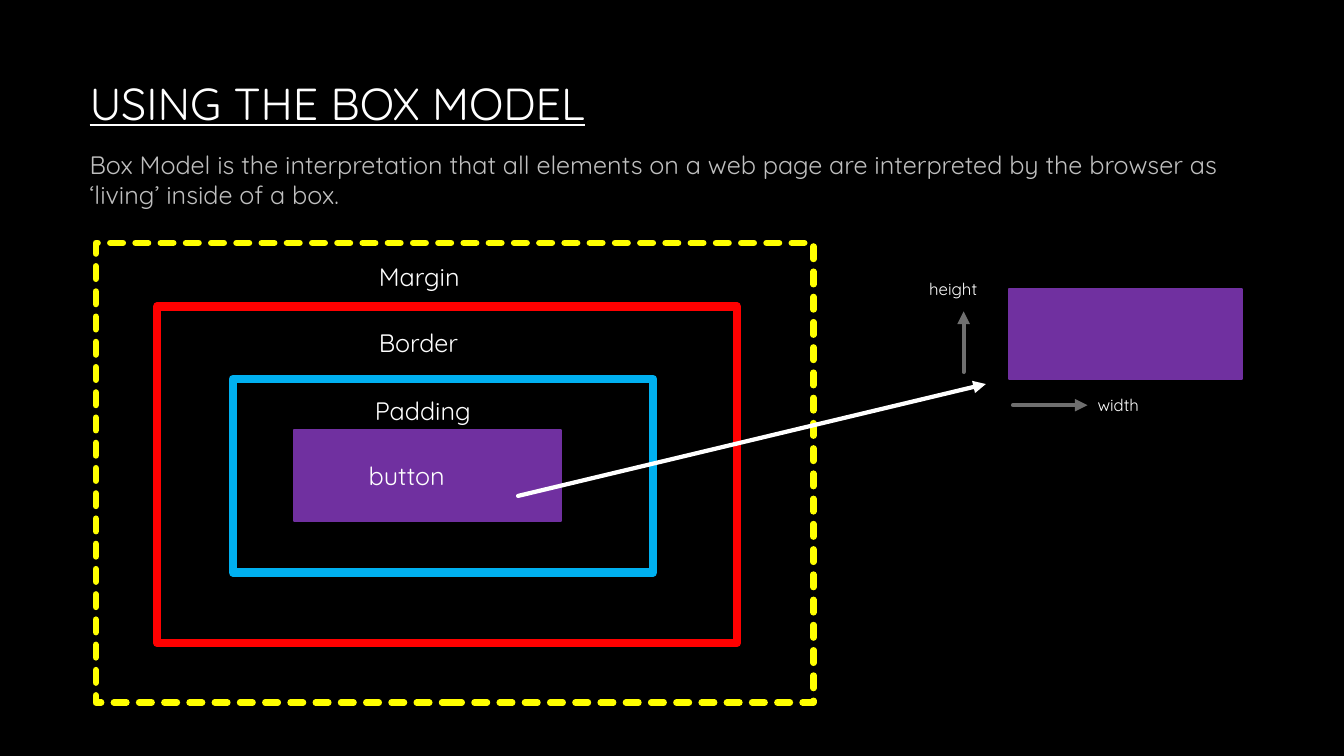
"""Build a slide that explains the box model with nested frames and arrows."""
from dataclasses import dataclass

import pptx
import pptx.dml.color
import pptx.enum.dml
import pptx.enum.shapes
import pptx.enum.text
import pptx.oxml
import pptx.oxml.ns
import pptx.util

CELL = pptx.util.Inches(1 / 12)
COLUMNS, ROWS = 160, 90
NAMESPACE = pptx.oxml.ns.nsdecls("a")


@dataclass(frozen=True)
class Theme:
    font: str = "Quicksand"
    background: str = "000000"
    text: str = "FFFFFF"
    muted: str = "BFBFBF"
    margin: str = "FFFF00"
    border: str = "FF0000"
    padding: str = "00B0F0"
    button: str = "7030A0"
    axis: str = "6F6F6F"
    title_size: int = 32
    body_size: int = 18
    small_size: int = 12


@dataclass(frozen=True)
class Area:
    column: float
    row: float
    columns: float
    rows: float


@dataclass(frozen=True)
class Frame:
    area: Area
    color: str
    weight: float
    filled: bool = False
    dashed: bool = False


@dataclass(frozen=True)
class Label:
    text: str
    area: Area
    size: int
    color: str


@dataclass(frozen=True)
class Arrow:
    start: tuple[float, float]
    end: tuple[float, float]
    color: str


THEME = Theme()
TITLE = Label("USING THE BOX MODEL", Area(9.48, 7.32, 129.96, 9.72), THEME.title_size, THEME.text)

FRAMES = [
    Frame(Area(11.4, 28.92, 85.44, 54.72), THEME.margin, 4.5, dashed=True),
    Frame(Area(18.72, 36.48, 69, 40.08), THEME.border, 6),
    Frame(Area(27.72, 45.12, 50.04, 23.04), THEME.padding, 6),
    Frame(Area(35.04, 51.24, 31.8, 10.8), THEME.button, 1.5, filled=True),
    Frame(Area(120.12, 34.44, 27.72, 10.68), THEME.button, 1.5, filled=True),
]

LABELS = [
    Label(
        "Box Model is the interpretation that all elements on a web page are "
        "interpreted by the browser as ‘living’ inside of a box.",
        Area(9.48, 17.16, 136.68, 12.12), THEME.body_size, THEME.muted,
    ),
    Label("Margin", Area(43.92, 30.48, 14.04, 4.8), THEME.body_size, THEME.text),
    Label("Border", Area(43.92, 38.4, 14.04, 4.8), THEME.body_size, THEME.text),
    Label("Padding", Area(43.44, 46.44, 16.92, 4.8), THEME.body_size, THEME.text),
    Label("button", Area(42.72, 54.24, 16.44, 4.8), THEME.body_size, THEME.text),
    Label("width", Area(129.48, 46.44, 12, 3.6), THEME.small_size, THEME.text),
    Label("height", Area(109.44, 32.64, 12, 3.6), THEME.small_size, THEME.text),
]

ARROWS = [
    Arrow((120.6, 48.24), (129.48, 48.24), THEME.axis),
    Arrow((114.72, 44.28), (114.72, 37.08), THEME.axis),
    Arrow((61.68, 59.04), (117.36, 45.72), THEME.text),
]


def cells(count: float) -> int:
    return round(count * CELL)


def place(area: Area) -> tuple[int, int, int, int]:
    return cells(area.column), cells(area.row), cells(area.columns), cells(area.rows)


def rgb(color: str) -> pptx.dml.color.RGBColor:
    return pptx.dml.color.RGBColor.from_string(color)


def style_line(shape, color: str, weight: float, dashed: bool = False) -> None:
    shape.line.color.rgb = rgb(color)
    shape.line.width = pptx.util.Pt(weight)
    if dashed:
        shape.line.dash_style = pptx.enum.dml.MSO_LINE.SQUARE_DOT
    outline = shape.line._get_or_add_ln()
    outline.set("cap", "rnd")
    outline.append(pptx.oxml.parse_xml(f"<a:round {NAMESPACE}/>"))


def write_text(box, label: Label) -> None:
    frame = box.text_frame
    frame.word_wrap = True
    frame.text = label.text
    para = frame.paragraphs[0]
    para.alignment = pptx.enum.text.PP_ALIGN.LEFT
    para.font.name = THEME.font
    para.font.size = pptx.util.Pt(label.size)
    para.font.color.rgb = rgb(label.color)


def draw_title(page, label: Label) -> None:
    title = page.shapes.title
    title.left, title.top, title.width, title.height = place(label.area)
    write_text(title, label)
    title.text_frame.vertical_anchor = pptx.enum.text.MSO_ANCHOR.MIDDLE
    para = title.text_frame.paragraphs[0]
    para.font.underline = True
    para.runs[0].font._element.append(pptx.oxml.parse_xml(
        f'<a:effectLst {NAMESPACE}><a:outerShdw blurRad="38100" dist="25400" dir="5400000">'
        '<a:srgbClr val="FFFFFF"><a:alpha val="40000"/></a:srgbClr>'
        "</a:outerShdw></a:effectLst>"
    ))


def draw_frame(page, frame: Frame) -> None:
    box = page.shapes.add_shape(
        pptx.enum.shapes.MSO_SHAPE.RECTANGLE, *place(frame.area)
    )
    box.shadow.inherit = False
    if frame.filled:
        box.fill.solid()
        box.fill.fore_color.rgb = rgb(frame.color)
    else:
        box.fill.background()
    style_line(box, frame.color, frame.weight, frame.dashed)


def draw_label(page, label: Label) -> None:
    write_text(page.shapes.add_textbox(*place(label.area)), label)


def draw_arrow(page, arrow: Arrow) -> None:
    connector = page.shapes.add_connector(
        pptx.enum.shapes.MSO_CONNECTOR.STRAIGHT,
        *map(cells, arrow.start + arrow.end),
    )
    style_line(connector, arrow.color, 3)
    connector.line._get_or_add_ln().append(
        pptx.oxml.parse_xml(f'<a:tailEnd {NAMESPACE} type="triangle"/>')
    )
    connector._element.spPr.append(pptx.oxml.parse_xml(f"<a:effectLst {NAMESPACE}/>"))


def main() -> None:
    deck = pptx.Presentation()
    deck.slide_width, deck.slide_height = cells(COLUMNS), cells(ROWS)
    page = deck.slides.add_slide(deck.slide_layouts.get_by_name("Title Only"))
    page.background.fill.solid()
    page.background.fill.fore_color.rgb = rgb(THEME.background)
    draw_title(page, TITLE)
    for frame in FRAMES:
        draw_frame(page, frame)
    for label in LABELS:
        draw_label(page, label)
    for arrow in ARROWS:
        draw_arrow(page, arrow)
    deck.save("out.pptx")


if __name__ == "__main__":
    main()
